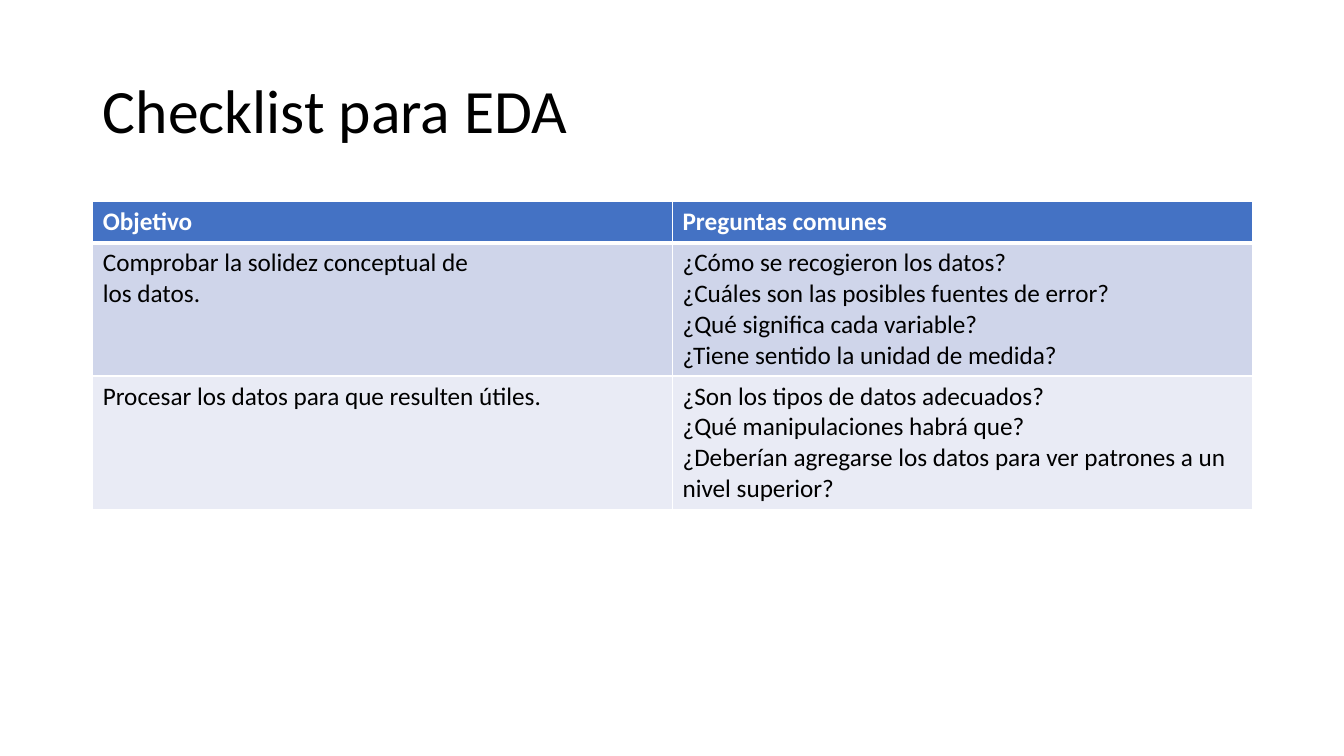
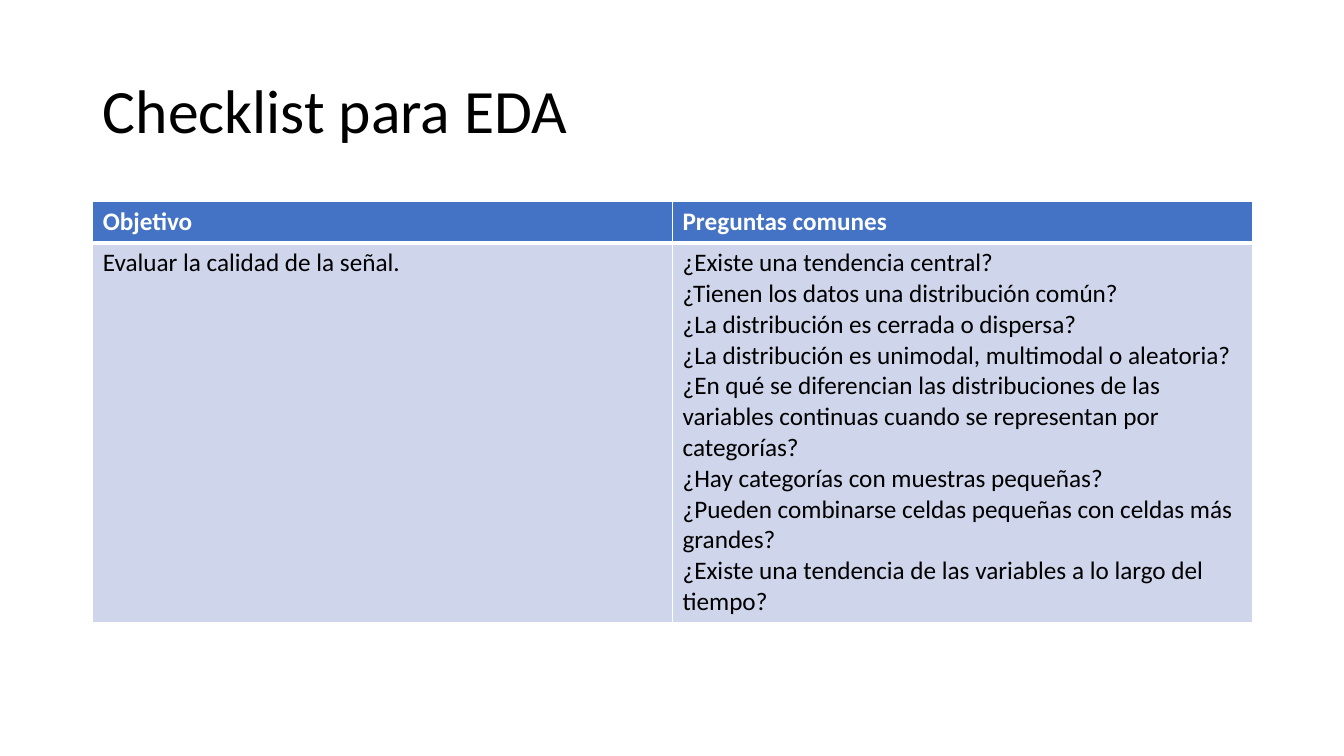
from lxml import etree
from pptx import Presentation
from pptx.dml.color import RGBColor
from pptx.enum.text import MSO_ANCHOR, PP_ALIGN
from pptx.oxml.ns import qn
from pptx.util import Inches, Pt

MIDDLE = MSO_ANCHOR.MIDDLE
LEFT = PP_ALIGN.LEFT

COLORS = {
    "text": "000000",
    "header": "4472C4",
    "header_text": "FFFFFF",
    "border": "FFFFFF",
    "odd_row": "CFD5EA",
    "even_row": "E9EBF5",
}
FONT = "Calibri"
TITLE = "Checklist para EDA"
HEADER = (["Objetivo"], ["Preguntas comunes"])
MARGIN, CONTENT_WIDTH = 0.92, 11.5
ROW_HEIGHT = 0.41  # rows grow with their text

# Each slide: table height and body rows; every cell is a list of paragraphs
SLIDES = [
    (3.01, [
        (["Comprobar la solidez conceptual de", "los datos."],
         ["¿Cómo se recogieron los datos?",
          "¿Cuáles son las posibles fuentes de error?",
          "¿Qué significa cada variable?",
          "¿Tiene sentido la unidad de medida?"]),
        (["Procesar los datos para que resulten útiles."],
         ["¿Son los tipos de datos adecuados?",
          "¿Qué manipulaciones habrá que?",
          "¿Deberían agregarse los datos para ver patrones a un nivel superior?"]),
    ]),
    (4.11, [
        (["Evaluar la calidad de la señal."],
         ["¿Existe una tendencia central?",
          "¿Tienen los datos una distribución común?",
          "¿La distribución es cerrada o dispersa?",
          "¿La distribución es unimodal, multimodal o aleatoria?",
          "¿En qué se diferencian las distribuciones de las variables continuas "
          "cuando se representan por categorías?",
          "¿Hay categorías con muestras pequeñas?",
          "¿Pueden combinarse celdas pequeñas con celdas más grandes?",
          "¿Existe una tendencia de las variables a lo largo del tiempo?"]),
    ]),
]


def style_font(font, size, color, bold=False):
    font.name = FONT
    font.size = Pt(size)
    font.bold = bold
    font.color.rgb = RGBColor.from_string(COLORS[color])


def add_borders(cell, top, bottom):
    properties = cell._tc.get_or_add_tcPr()
    for tag, width in (("a:lnL", 1), ("a:lnR", 1), ("a:lnT", top), ("a:lnB", bottom)):
        line = etree.SubElement(properties, qn(tag), w=str(Pt(width)))
        fill = etree.SubElement(line, qn("a:solidFill"))
        etree.SubElement(fill, qn("a:srgbClr"), val=COLORS["border"])


presentation = Presentation()
presentation.slide_width = Inches(13.33)
presentation.slide_height = Inches(7.5)
title_only = presentation.slide_layouts[5]

for table_height, body_rows in SLIDES:
    slide = presentation.slides.add_slide(title_only)

    # Title
    title = slide.shapes.title
    title.left, title.top = Inches(MARGIN), Inches(0.4)
    title.width, title.height = Inches(CONTENT_WIDTH), Inches(1.45)
    title.text_frame.text = TITLE
    title.text_frame.vertical_anchor = MIDDLE
    paragraph = title.text_frame.paragraphs[0]
    paragraph.alignment = LEFT
    paragraph.line_spacing = 0.9
    style_font(paragraph.font, 44, "text")

    # Table
    rows = [HEADER] + body_rows
    frame = slide.shapes.add_table(
        len(rows), len(HEADER), Inches(MARGIN), Inches(2),
        Inches(CONTENT_WIDTH), Inches(table_height))
    table = frame.table
    for row_index, row in enumerate(rows):
        table.rows[row_index].height = Inches(ROW_HEIGHT)
        is_header = row_index == 0
        if is_header:
            fill_color = "header"
        else:
            fill_color = "odd_row" if row_index % 2 else "even_row"
        for column_index, lines in enumerate(row):
            cell = table.cell(row_index, column_index)
            cell.text = "\n".join(lines)
            add_borders(cell, top=3 if row_index == 1 else 1, bottom=3 if is_header else 1)
            cell.fill.solid()
            cell.fill.fore_color.rgb = RGBColor.from_string(COLORS[fill_color])
            for paragraph in cell.text_frame.paragraphs:
                style_font(paragraph.font, 18, "header_text" if is_header else "text", is_header)
    frame.height = Inches(table_height)

presentation.save("out.pptx")
